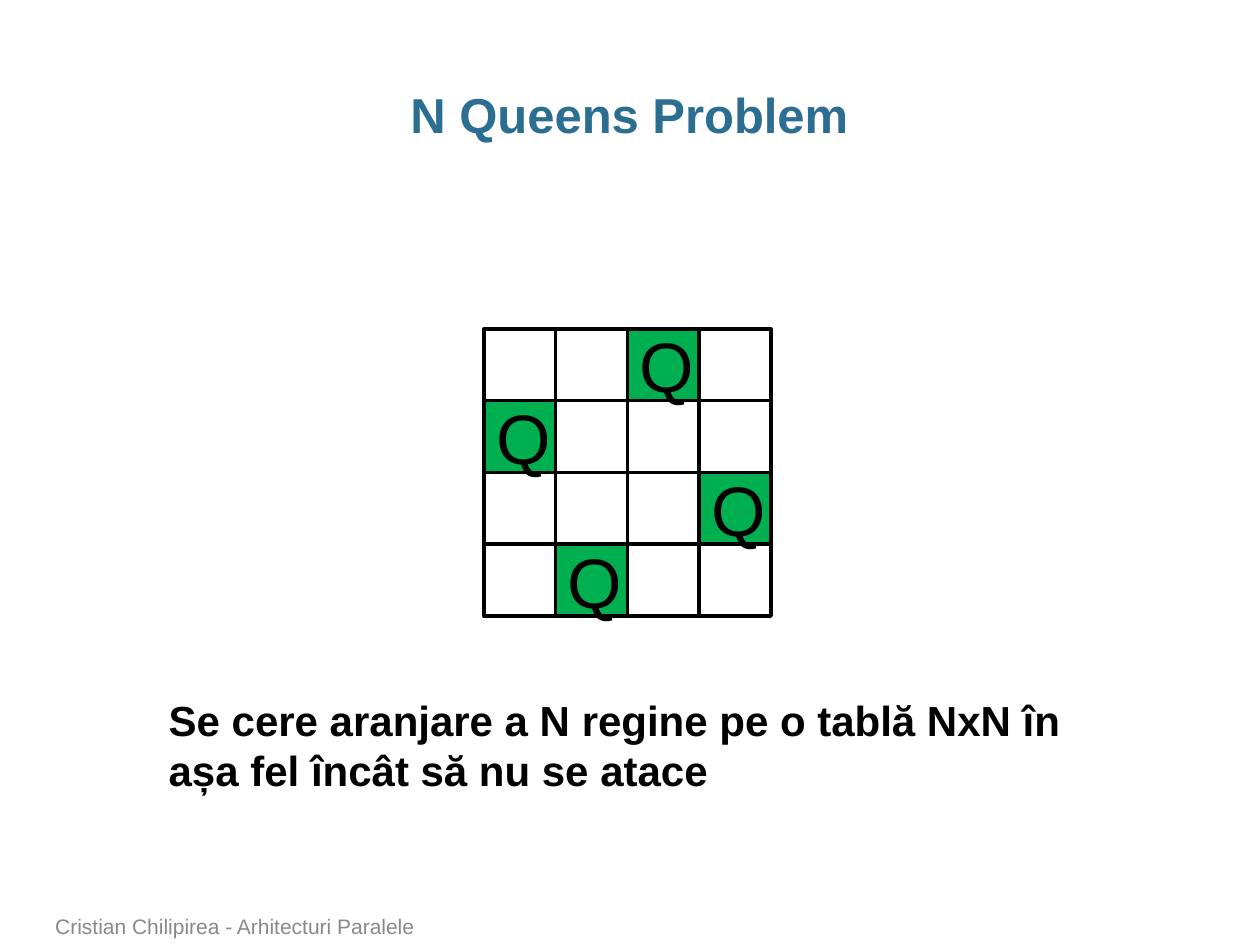
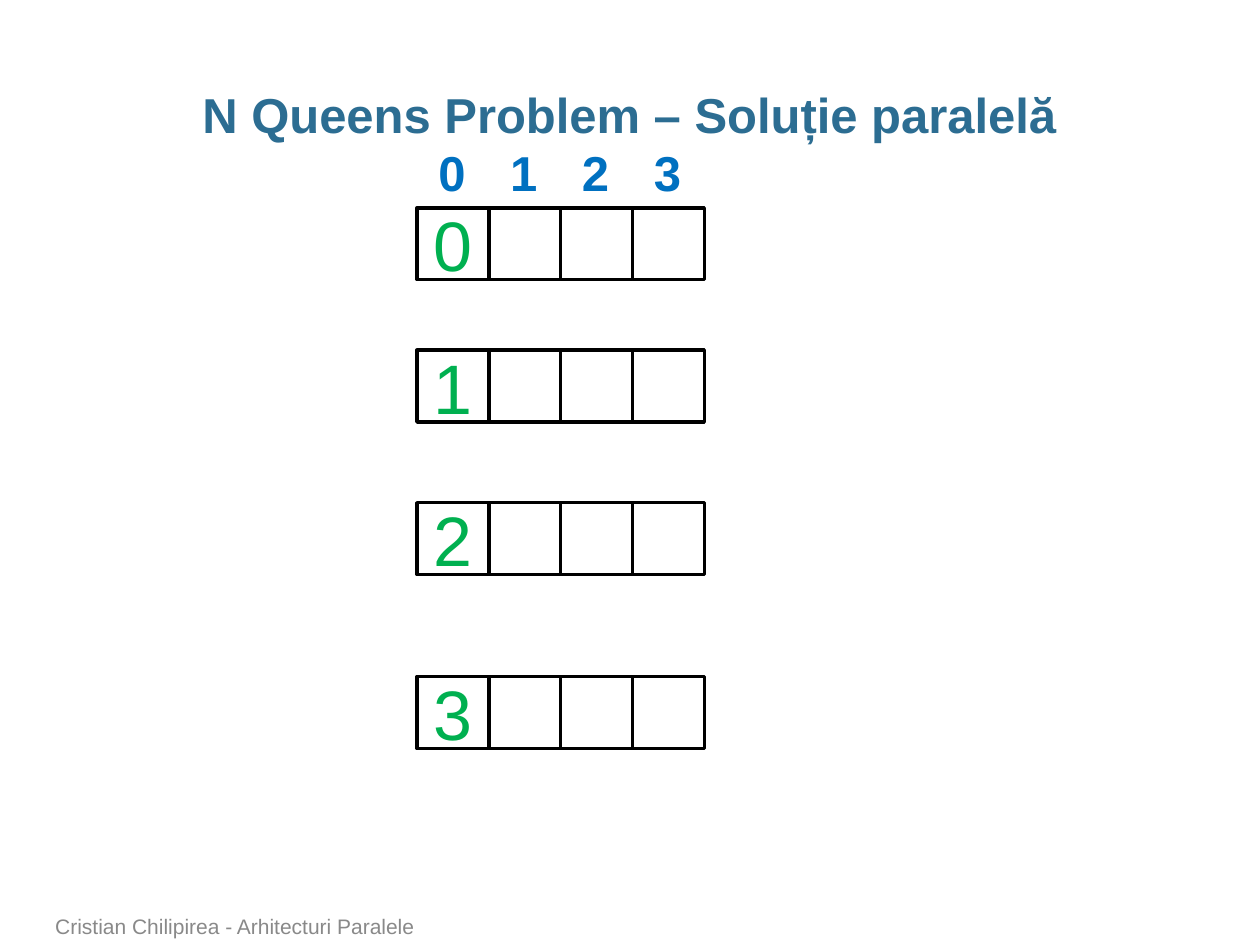
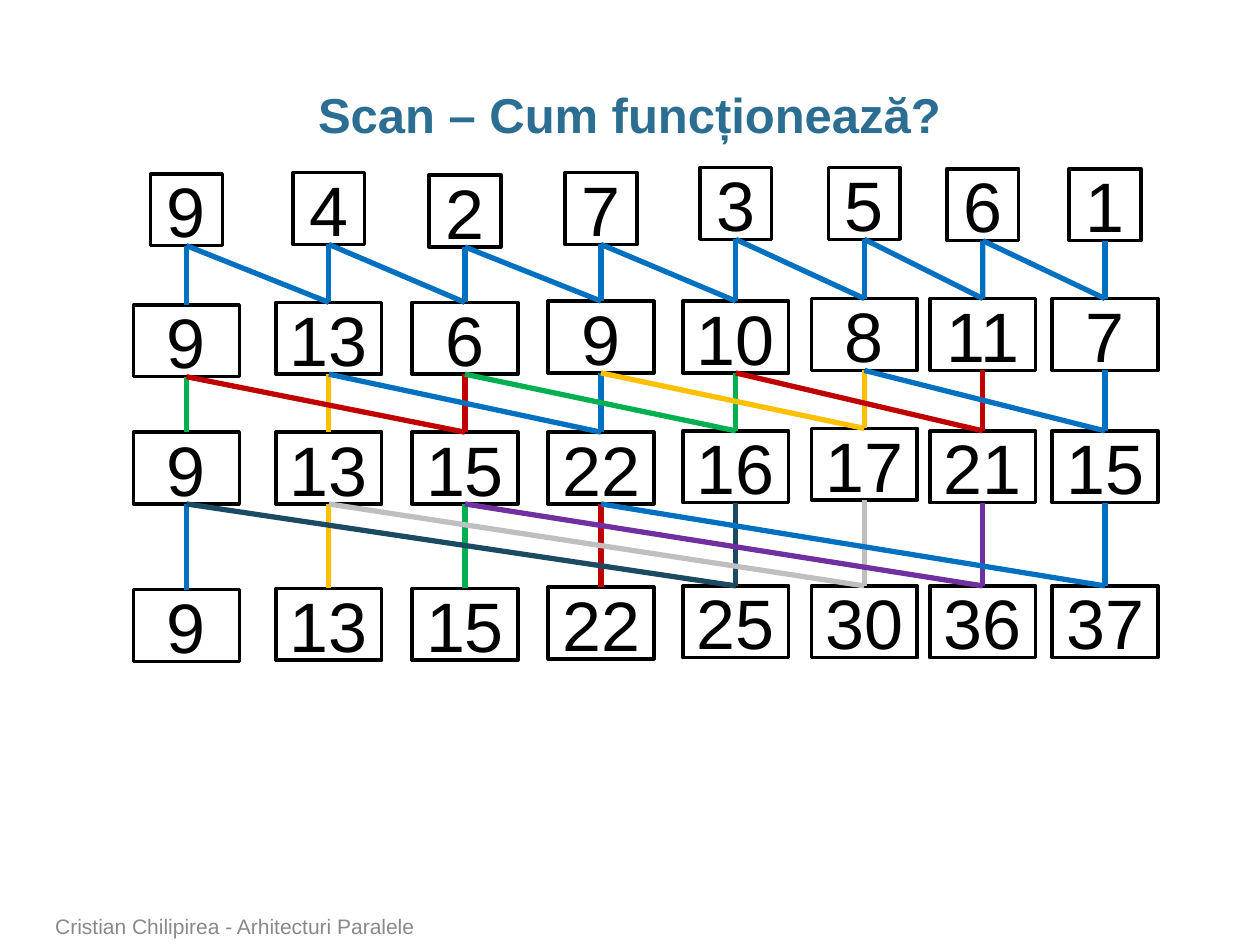
from lxml import etree
from pptx import Presentation
from pptx.dml.color import RGBColor
from pptx.enum.shapes import MSO_CONNECTOR, MSO_SHAPE
from pptx.enum.text import MSO_ANCHOR as ANCHOR, MSO_AUTO_SIZE as AUTO, PP_ALIGN as ALIGN
from pptx.oxml.ns import qn
from pptx.util import Inches, Pt

BLACK = RGBColor(0x00, 0x00, 0x00)
TITLE_BLUE = RGBColor(0x2C, 0x6D, 0x92)
FOOTER_GREY = RGBColor(0x89, 0x89, 0x89)
GREEN = RGBColor(0x00, 0xB0, 0x50)
BLUE = RGBColor(0x00, 0x70, 0xC0)
RED = RGBColor(0xC0, 0x00, 0x00)
GOLD = RGBColor(0xFF, 0xC0, 0x00)
NAVY = RGBColor(0x1D, 0x4A, 0x63)
SILVER = RGBColor(0xBF, 0xBF, 0xBF)
PURPLE = RGBColor(0x70, 0x30, 0xA0)

FONT = "Arial"
FOOTER = "Cristian Chilipirea - Arhitecturi Paralele"
CELL = 0.57
WIDE_CELL = 0.84
BOARD_SIZE = 4
QUEEN_COLUMNS = [2, 0, 3, 1]  # one per row

SCAN_CENTRES = [1.48, 2.61, 3.69, 4.77, 5.84, 6.86, 7.8, 8.77]
SCAN_ROWS = [  # cell width, values, tops
    (CELL, [9, 4, 2, 7, 3, 5, 6, 1],
     [1.38, 1.37, 1.39, 1.37, 1.33, 1.33, 1.34, 1.34]),
    (WIDE_CELL, [9, 13, 6, 9, 10, 8, 11, 7],
     [2.42, 2.4, 2.4, 2.39, 2.39, 2.37, 2.37, 2.37]),
    (WIDE_CELL, [9, 13, 15, 22, 16, 17, 21, 15],
     [3.43, 3.43, 3.43, 3.43, 3.42, 3.4, 3.42, 3.42]),
    (WIDE_CELL, [9, 13, 15, 22, 25, 30, 36, 37],
     [4.68, 4.67, 4.67, 4.66, 4.65, 4.65, 4.65, 4.65]),
]
LINK_COLOURS = [  # by target column, one list for each step
    [BLUE] * 8,
    [GREEN, GOLD, RED, BLUE, GREEN, GOLD, RED, BLUE],
    [BLUE, GOLD, GREEN, RED, NAVY, SILVER, PURPLE, BLUE],
]


def write(tf, text, size, colour, bold=False, **frame):
    """Put one formatted paragraph in a text frame and return it."""
    for name, value in frame.items():
        setattr(tf, name, value)
    p = tf.paragraphs[0]
    r = p.add_run()
    r.text = text
    for name, value in {"name": FONT, "size": Pt(size), "bold": bold}.items():
        setattr(r.font, name, value)
    r.font.color.rgb = colour
    return p


def add_text(s, box, *args, **frame):
    tb = s.shapes.add_textbox(*map(Inches, box))
    return write(tb.text_frame, *args, **frame)


def add_cell(s, left, top, width=CELL, text="", colour=BLACK, fill=None):
    sp = s.shapes.add_shape(MSO_SHAPE.RECTANGLE, *map(Inches, (left, top, width, CELL)))
    sp.shadow.inherit = False
    if fill is None:
        sp.fill.background()
    else:
        sp.fill.solid()
        sp.fill.fore_color.rgb = fill
    sp.line.color.rgb = BLACK
    sp.line.width = Pt(2)
    if text:
        p = write(sp.text_frame, text, 40, colour, vertical_anchor=ANCHOR.MIDDLE)
        p.alignment = ALIGN.CENTER
    return sp


def add_link(s, source, target, colour):
    """Join the bottom of one cell to the top of another."""
    line = s.shapes.add_connector(MSO_CONNECTOR.STRAIGHT, 0, 0, 0, 0)
    line.begin_connect(source, 2)
    line.end_connect(target, 0)
    line.line.color.rgb = colour
    line.line.width = Pt(3)
    etree.SubElement(line._element.spPr, qn("a:effectLst"))


def new_slide(prs, title):
    """Add a slide with the shared title and footer."""
    s = prs.slides.add_slide(prs.slide_layouts[5])
    sp = s.shapes.title
    place = {"left": 0.34, "top": 0.68, "width": 9.31, "height": 0.5}
    for name, value in place.items():
        setattr(sp, name, Inches(value))
    p = write(sp.text_frame, title, 28, TITLE_BLUE, True, auto_size=AUTO.NONE,
              margin_left=0, margin_right=0, vertical_anchor=ANCHOR.MIDDLE)
    p.alignment = ALIGN.CENTER
    p.line_spacing = 0.95
    add_text(s, (0.34, 7.22, 7.37, 0.28), FOOTER, 12, FOOTER_GREY,
             word_wrap=True, vertical_anchor=ANCHOR.BOTTOM)
    return s


def add_board(s, left, top):
    for row, queen in enumerate(QUEEN_COLUMNS):
        for col in range(BOARD_SIZE):
            content = {"text": "Q", "fill": GREEN} if col == queen else {}
            add_cell(s, left + col * CELL, top + row * CELL, **content)


def add_position_array(s, left, top, first):
    add_cell(s, left, top, text=first, colour=GREEN)
    for col in range(1, BOARD_SIZE):
        add_cell(s, left + col * CELL, top)


def add_column_numbers(s, left, top):
    for col in range(BOARD_SIZE):
        add_text(s, (left + col * CELL, top, 0.42, CELL), str(col), 28, BLUE, True,
                 word_wrap=False, auto_size=AUTO.SHAPE_TO_FIT_TEXT)


def queens_slide(prs):
    s = new_slide(prs, "N Queens Problem")
    add_board(s, 3.84, 2.61)
    add_text(s, (1.24, 5.46, 7.49, 0.91),
             "Se cere aranjare a N regine pe o tablă NxN în așa fel încât să nu se atace",
             24, BLACK, True, word_wrap=True, auto_size=AUTO.SHAPE_TO_FIT_TEXT)


def parallel_slide(prs):
    s = new_slide(prs, "N Queens Problem – Soluție paralelă")
    left = 3.31
    add_column_numbers(s, left + 0.07, 1.08)
    for i, top in enumerate([1.65, 2.78, 3.99, 5.37]):
        add_position_array(s, left, top, str(i))


def scan_slide(prs):
    s = new_slide(prs, "Scan – Cum funcționează?")
    rows = [[add_cell(s, centre - width / 2, top, width, str(value))
             for centre, value, top in zip(SCAN_CENTRES, values, tops)]
            for width, values, tops in SCAN_ROWS]
    for step, colours in enumerate(LINK_COLOURS):
        sources, targets = rows[step:step + 2]
        distance = 2 ** step
        for col, colour in enumerate(colours):
            if col >= distance:
                add_link(s, sources[col - distance], targets[col], colour)
            add_link(s, sources[col], targets[col], colour)


def main():
    prs = Presentation()
    prs.slide_width, prs.slide_height = Inches(10), Inches(7.5)
    queens_slide(prs)
    parallel_slide(prs)
    scan_slide(prs)
    prs.save("out.pptx")


if __name__ == "__main__":
    main()
